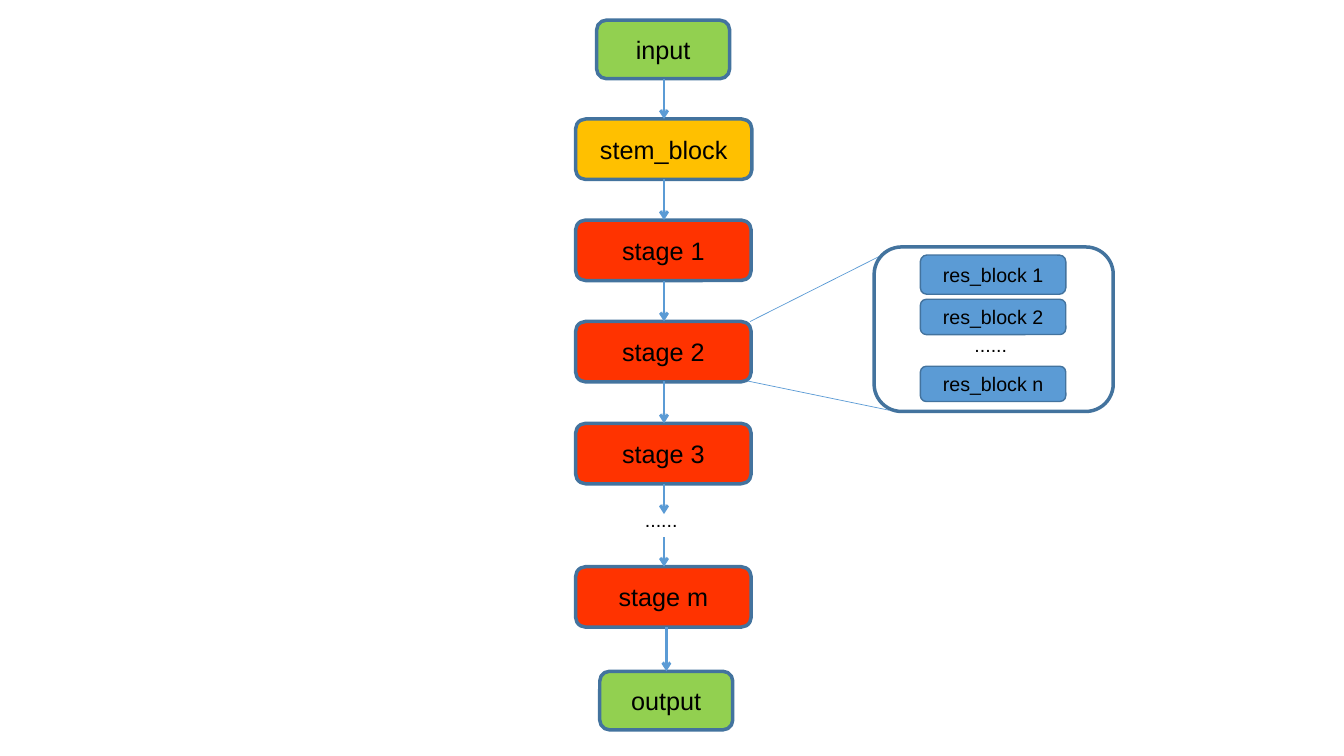
from lxml import etree
from pptx import Presentation
from pptx.dml.color import RGBColor
from pptx.enum.shapes import MSO_CONNECTOR, MSO_SHAPE
from pptx.enum.text import MSO_ANCHOR, MSO_AUTO_SIZE, PP_ALIGN
from pptx.oxml.ns import qn
from pptx.util import Pt

ROUND = MSO_SHAPE.ROUNDED_RECTANGLE
STRAIGHT = MSO_CONNECTOR.STRAIGHT
MIDDLE = MSO_ANCHOR.MIDDLE
CENTER = PP_ALIGN.CENTER
GROW = MSO_AUTO_SIZE.SHAPE_TO_FIT_TEXT

FONT = "Arial"
COLORS = {
    "end": "92D050",
    "stem": "FFC000",
    "stage": "FF3300",
    "block": "5B9BD5",
    "panel": "FFFFFF",
    "edge": "43739E",
    "arrow": "5B9BD5",
    "text": "000000",
}


def color(name):
    return RGBColor.from_string(COLORS[name])


def add_text(frame, text, size):
    run = frame.paragraphs[0].add_run()
    run.text = text
    run.font.name = FONT
    run.font.size = Pt(size)
    run.font.color.rgb = color("text")


def add_box(slide, left, top, width, height, fill, text="", size=18, edge=2.5):
    box = slide.shapes.add_shape(ROUND, Pt(left), Pt(top), Pt(width), Pt(height))
    box.shadow.inherit = False
    box.fill.solid()
    box.fill.fore_color.rgb = color(fill)
    box.line.color.rgb = color("edge")
    box.line.width = Pt(edge)
    if text:
        frame = box.text_frame
        frame.vertical_anchor = MIDDLE
        frame.paragraphs[0].alignment = CENTER
        add_text(frame, text, size)


def add_dots(slide, left, top, wrap):
    box = slide.shapes.add_textbox(Pt(left), Pt(top), Pt(41), Pt(24.3))
    frame = box.text_frame
    frame.word_wrap = wrap
    frame.auto_size = GROW
    add_text(frame, "......", 14)


def add_line(slide, x1, y1, x2, y2, width):
    line = slide.shapes.add_connector(STRAIGHT, Pt(x1), Pt(y1), Pt(x2), Pt(y2))
    line.line.color.rgb = color("arrow")
    line.line.width = Pt(width)
    etree.SubElement(line._element.spPr, qn("a:effectLst"))
    return line


def add_arrow(slide, x, top, bottom):
    line = add_line(slide, x, top, x, bottom, 2)
    etree.SubElement(line.line._get_or_add_ln(), qn("a:tailEnd"), type="arrow")


def main():
    deck = Presentation()
    deck.slide_width, deck.slide_height = Pt(960), Pt(540)
    slide = deck.slides.add_slide(deck.slide_layouts[6])

    # Network column
    for text, fill, left, top, width, height in (
        ("input", "end", 426.2, 14.4, 95, 41.8),
        ("stem_block", "stem", 411.1, 85, 126, 43.2),
        ("stage 1", "stage", 411.1, 157.2, 125.5, 43.2),
        ("stage 2", "stage", 411.1, 229.6, 125.5, 43.2),
        ("stage 3", "stage", 411.1, 302.4, 125.5, 43.2),
        ("stage m", "stage", 411.1, 404.8, 125.5, 43.2),
        ("output", "end", 428.4, 479.5, 95, 41.8),
    ):
        add_box(slide, left, top, width, height, fill, text)
    add_dots(slide, 453.6, 359.3, True)

    # Arrows between the steps
    for x, top, bottom in (
        (474.3, 56.2, 85),
        (474.3, 128.2, 157.2),
        (474.3, 200.4, 229.6),
        (474.3, 272.5, 302.4),
        (474.3, 345.6, 367.2),
        (474.3, 383.8, 404.8),
        (476, 448, 479.5),
    ):
        add_arrow(slide, x, top, bottom)

    # Detail of stage 2
    add_line(slide, 535.7, 229.7, 630, 182.2, 0.5)
    add_line(slide, 534.2, 272.2, 635, 293, 0.5)
    add_box(slide, 624.4, 176.4, 170.8, 117.5, "panel")
    for mark, top, height in (("1", 182.2, 28), ("2", 213.8, 25.2), ("n", 261.6, 25.2)):
        add_box(slide, 657.4, top, 103.9, height, "block", f"res_block {mark}", 14, 1)
    add_dots(slide, 689, 234, False)

    deck.save("out.pptx")


main()
